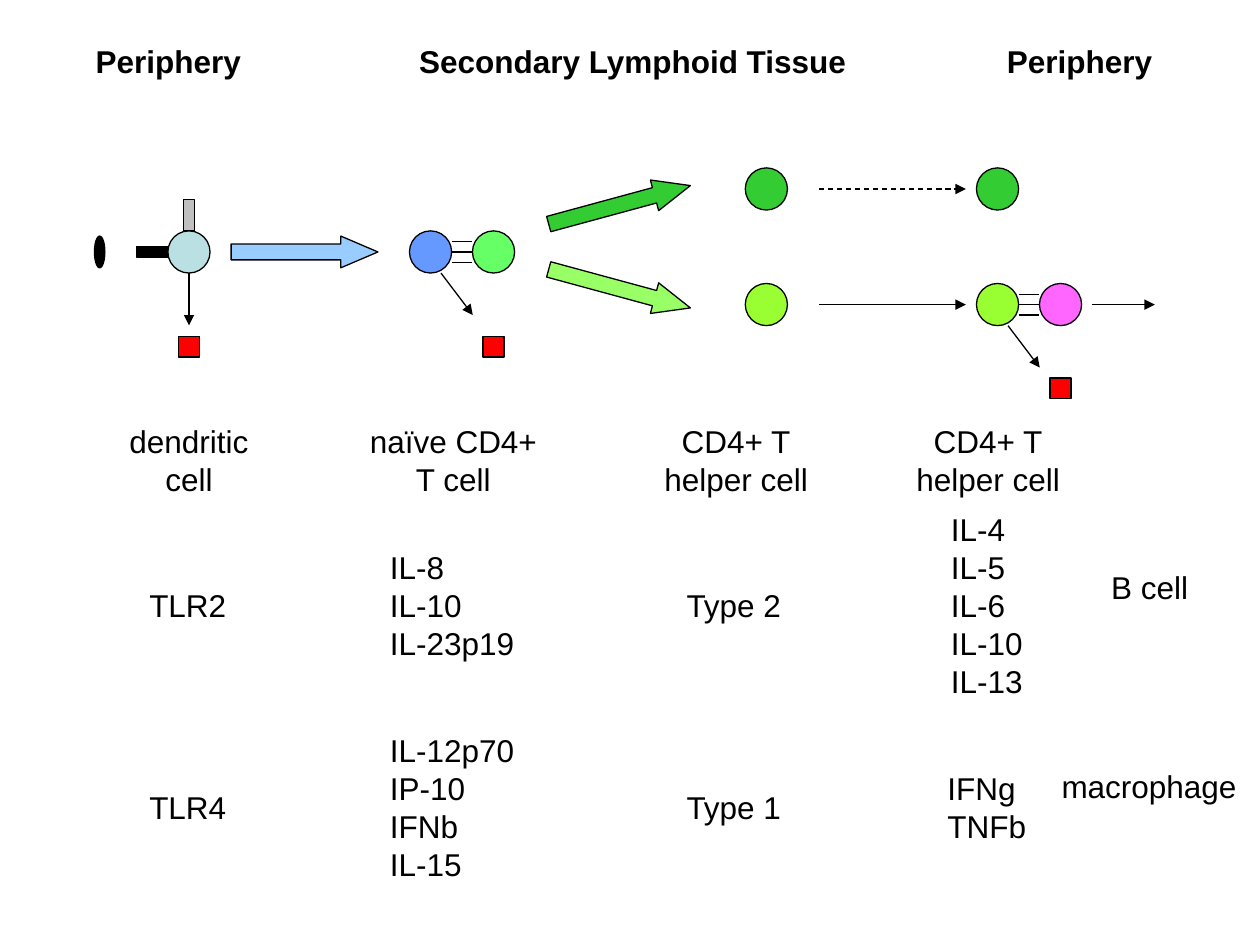
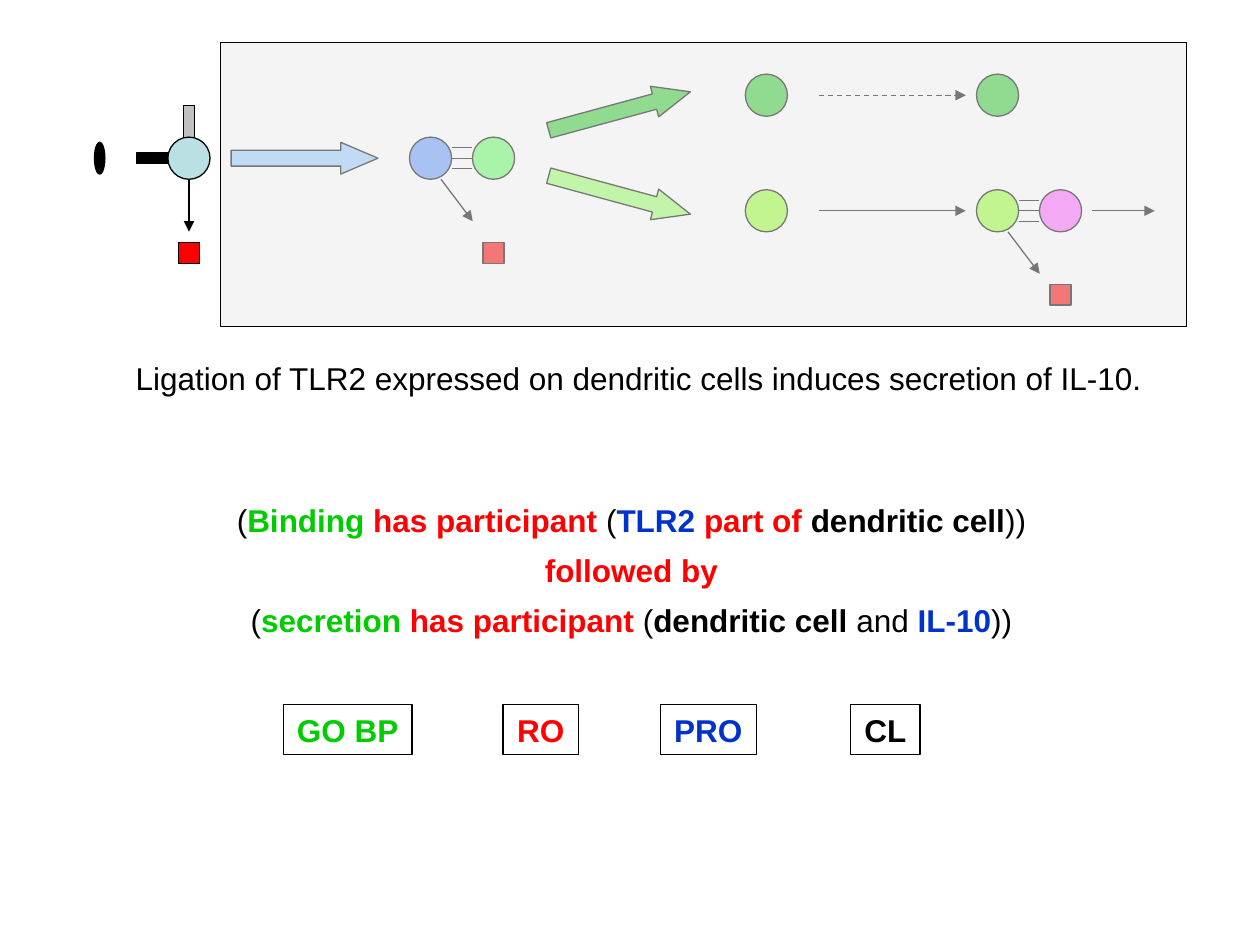
import pptx
import pptx.dml.color
import pptx.enum.dml
import pptx.enum.shapes
import pptx.enum.text
import pptx.oxml
import pptx.oxml.ns
import pptx.util
from pptx.util import Cm

RGBColor = pptx.dml.color.RGBColor
Geometry = pptx.enum.shapes.MSO_SHAPE
Align = pptx.enum.text.PP_ALIGN
qn = pptx.oxml.ns.qn

BLACK = RGBColor(0x00, 0x00, 0x00)
RED = RGBColor(0xFF, 0x00, 0x00)
GREY = RGBColor(0xC0, 0xC0, 0xC0)
PANEL_GREY = RGBColor(0xEA, 0xEA, 0xEA)
DENDRITIC_TEAL = RGBColor(0xBB, 0xE0, 0xE3)
MIGRATION_BLUE = RGBColor(0x99, 0xCC, 0xFF)
PRESENTING_BLUE = RGBColor(0x66, 0x99, 0xFF)
NAIVE_GREEN = RGBColor(0x66, 0xFF, 0x66)
TYPE_2_GREEN = RGBColor(0x33, 0xCC, 0x33)
TYPE_1_GREEN = RGBColor(0x99, 0xFF, 0x33)
TYPE_1_ARROW = RGBColor(0x99, 0xFF, 0x66)
TARGET_PINK = RGBColor(0xFF, 0x66, 0xFF)
PROCESS_GREEN = RGBColor(0x00, 0xCC, 0x00)
PROTEIN_BLUE = RGBColor(0x00, 0x33, 0xCC)

# Lengths in centimetres
CELL = 0.85
SECRETED = 0.42
LONG, SHORT = 0.64, 0.21
LINE_HEIGHT, PADDING = 0.76, 0.25
POINTS_PER_CM = 28.35


class Sketch:
    """Draws on the current slide; places are centre points in centimetres."""

    font_name = "Arial"
    font_size = pptx.util.Pt(18)
    line_width = pptx.util.Pt(0.75)

    def __init__(self, deck):
        self.deck = deck
        self.slide = None

    def new_slide(self):
        self.slide = self.deck.slides.add_slide(self.deck.slide_layouts[6])

    def outline(self, item):
        item.line.color.rgb = BLACK
        item.line.width = self.line_width

    def shape(self, geometry, x, y, width, height, colour, turn=0, opacity=None):
        shape = self.slide.shapes.add_shape(
            geometry, Cm(x - width / 2), Cm(y - height / 2), Cm(width), Cm(height))
        shape.shadow.inherit = False
        shape.rotation = turn
        shape.fill.solid()
        shape.fill.fore_color.rgb = colour
        self.outline(shape)
        if opacity is not None:
            fill_colour = shape._element.spPr.find(qn("a:solidFill")).find(qn("a:srgbClr"))
            fill_colour.append(fill_colour.makeelement(qn("a:alpha"), {"val": str(opacity * 1000)}))
        return shape

    def cell(self, x, y, colour):
        self.shape(Geometry.OVAL, x, y, CELL, CELL, colour)

    def secreted(self, x, y):
        self.shape(Geometry.RECTANGLE, x, y, SECRETED, SECRETED, RED)

    def block_arrow(self, x, y, colour, turn=0):
        arrow = self.shape(Geometry.RIGHT_ARROW, x, y, 2.96, LONG, colour, turn)
        arrow.adjustments[0] = 0.5
        arrow.adjustments[1] = 1.17

    def line(self, x1, y1, x2, y2, arrow=True, dashed=False):
        line = self.slide.shapes.add_connector(
            pptx.enum.shapes.MSO_CONNECTOR.STRAIGHT, Cm(x1), Cm(y1), Cm(x2), Cm(y2))
        self.outline(line)
        if dashed:
            line.line.dash_style = pptx.enum.dml.MSO_LINE.DASH
        properties = line._element.spPr
        if arrow:
            stroke = properties.find(qn("a:ln"))
            stroke.append(stroke.makeelement(qn("a:tailEnd"), {"type": "triangle"}))
        properties.append(properties.makeelement(qn("a:effectLst")))

    def synapse(self, x, y, left_colour, right_colour, drop):
        """Two cells in contact, the left one secreting a signal."""
        gap = 1.27
        self.cell(x, y, left_colour)
        self.cell(x + gap, y, right_colour)
        for offset in (-SHORT, 0, SHORT):
            self.line(x + CELL / 2, y + offset, x + gap - CELL / 2, y + offset, arrow=False)
        self.line(x + SHORT, y + CELL / 2, x + CELL, y + 1.27)
        self.secreted(x + gap, y + drop)

    def text(self, lines, x, y, width, align=Align.LEFT, bold=False, colour=BLACK,
             framed=False, space_before=0):
        """Each line is a string, or a list of (text, colour) spans; a colour makes bold."""
        gaps = space_before * (len(lines) - 1) / POINTS_PER_CM
        height = PADDING + LINE_HEIGHT * len(lines) + gaps
        box = self.slide.shapes.add_textbox(
            Cm(x - width / 2), Cm(y - height / 2), Cm(width), Cm(height))
        frame = box.text_frame
        frame.word_wrap = False
        frame.auto_size = pptx.enum.text.MSO_AUTO_SIZE.SHAPE_TO_FIT_TEXT
        if framed:
            self.outline(box)
        for index, line in enumerate(lines):
            para = frame.paragraphs[0] if index == 0 else frame.add_paragraph()
            para.alignment = align
            if index and space_before:
                para.space_before = pptx.util.Pt(space_before)
            spans = [(line, colour if bold else None)] if isinstance(line, str) else line
            for words, span_colour in spans:
                span = para.add_run()
                span.text = words
                span.font.name = self.font_name
                span.font.size = self.font_size
                span.font.bold = span_colour is not None
                span.font.color.rgb = span_colour or colour


def draw_pathway(sketch, axis):
    """The immune response from left to right, with the dendritic cell at height axis."""
    dendritic_x, naive_x, helper_x, effector_x = 3.81, 8.68, 15.45, 20.11
    type_2_y, type_1_y = axis - 1.27, axis + 1.06

    sketch.shape(Geometry.OVAL, 2.01, axis, SHORT, LONG, BLACK)
    sketch.shape(Geometry.RECTANGLE, 3.07, axis, LONG, SHORT, BLACK)
    sketch.shape(Geometry.RECTANGLE, dendritic_x, axis - 0.74, LONG, SHORT, GREY, turn=90)
    sketch.cell(dendritic_x, axis, DENDRITIC_TEAL)
    sketch.line(dendritic_x, axis + CELL / 2, dendritic_x, axis + 1.48)
    sketch.secreted(dendritic_x, axis + 1.91)

    sketch.block_arrow(6.14, axis, MIGRATION_BLUE)
    sketch.synapse(naive_x, axis, PRESENTING_BLUE, NAIVE_GREEN, drop=1.91)
    sketch.block_arrow(12.49, axis - 0.95, TYPE_2_GREEN, turn=-15.2)
    sketch.block_arrow(12.49, axis + 0.74, TYPE_1_ARROW, turn=15.2)

    for y, colour in ((type_2_y, TYPE_2_GREEN), (type_1_y, TYPE_1_GREEN)):
        sketch.cell(helper_x, y, colour)
        sketch.line(16.51, y, 19.47, y, dashed=y == type_2_y)
    sketch.cell(effector_x, type_2_y, TYPE_2_GREEN)
    sketch.synapse(effector_x, type_1_y, TYPE_1_GREEN, TARGET_PINK, drop=1.69)
    sketch.line(22.01, type_1_y, 23.28, type_1_y)


def build_overview(sketch):
    sketch.new_slide()
    draw_pathway(sketch, 5.08)

    for heading, x, width in (("Periphery", 3.43, 3.5),
                              ("Secondary Lymphoid Tissue", 12.8, 9.2),
                              ("Periphery", 21.8, 3.5)):
        sketch.text([heading], x, 1.23, width, bold=True)

    # Column centre, then (width, lines) for the cell name, type 2 and type 1
    columns = (
        (3.81, (2.95, ["dendritic", "cell"]), (2.1, ["TLR2"]), (2.1, ["TLR4"])),
        (9.14, (3.95, ["naïve CD4+", "T cell"]),
         (3.06, ["IL-8", "IL-10", "IL-23p19"]),
         (3.06, ["IL-12p70", "IP-10", "IFNb", "IL-15"])),
        (14.84, (3.45, ["CD4+ T", "helper cell"]), (2.5, ["Type 2"]), (2.5, ["Type 1"])),
        (19.92, (3.45, ["CD4+ T", "helper cell"]),
         (2.0, ["IL-4", "IL-5", "IL-6", "IL-10", "IL-13"]),
         (2.14, ["IFNg", "TNFb"])),
    )
    for x, (name_width, cell_name), *type_rows in columns:
        sketch.text(cell_name, x, 9.27, name_width, align=Align.CENTER)
        for y, (width, items) in zip((12.19, 16.26), type_rows):
            sketch.text(items, x, y, width)
    sketch.text(["B cell"], 23.2, 11.84, 2.1)
    sketch.text(["macrophage"], 23.2, 15.85, 4.1)


def build_statement(sketch):
    sketch.new_slide()
    for ontology, x, width, colour in (("GO BP", 7.01, 2.6, PROCESS_GREEN),
                                       ("RO", 10.9, 1.52, RED),
                                       ("PRO", 14.28, 1.94, PROTEIN_BLUE),
                                       ("CL", 17.85, 1.4, BLACK)):
        sketch.text([ontology], x, 14.71, width, align=Align.CENTER, bold=True,
                    colour=colour, framed=True)

    sketch.text(["Ligation of TLR2 expressed on dendritic cells induces secretion of IL-10."],
                12.91, 7.62, 20.85)
    sketch.text([
        [("(", None), ("Binding ", PROCESS_GREEN), ("has participant", RED), (" (", None),
         ("TLR2 ", PROTEIN_BLUE), ("part of ", RED), ("dendritic cell", BLACK), ("))", None)],
        [("followed by", RED)],
        [("(", None), ("secretion ", PROCESS_GREEN), ("has participant", RED), (" (", None),
         ("dendritic cell", BLACK), (" and ", None), ("IL-10", PROTEIN_BLUE), ("))", None)],
    ], 12.73, 11.49, 16.5, align=Align.CENTER, space_before=6.8)

    draw_pathway(sketch, 3.19)
    sketch.shape(Geometry.RECTANGLE, 14.18, 3.72, 19.48, 5.72, PANEL_GREY, opacity=51)


def main():
    deck = pptx.Presentation()
    deck.slide_width, deck.slide_height = Cm(25.4), Cm(19.05)
    sketch = Sketch(deck)
    build_overview(sketch)
    build_statement(sketch)
    deck.save("out.pptx")


if __name__ == "__main__":
    main()
